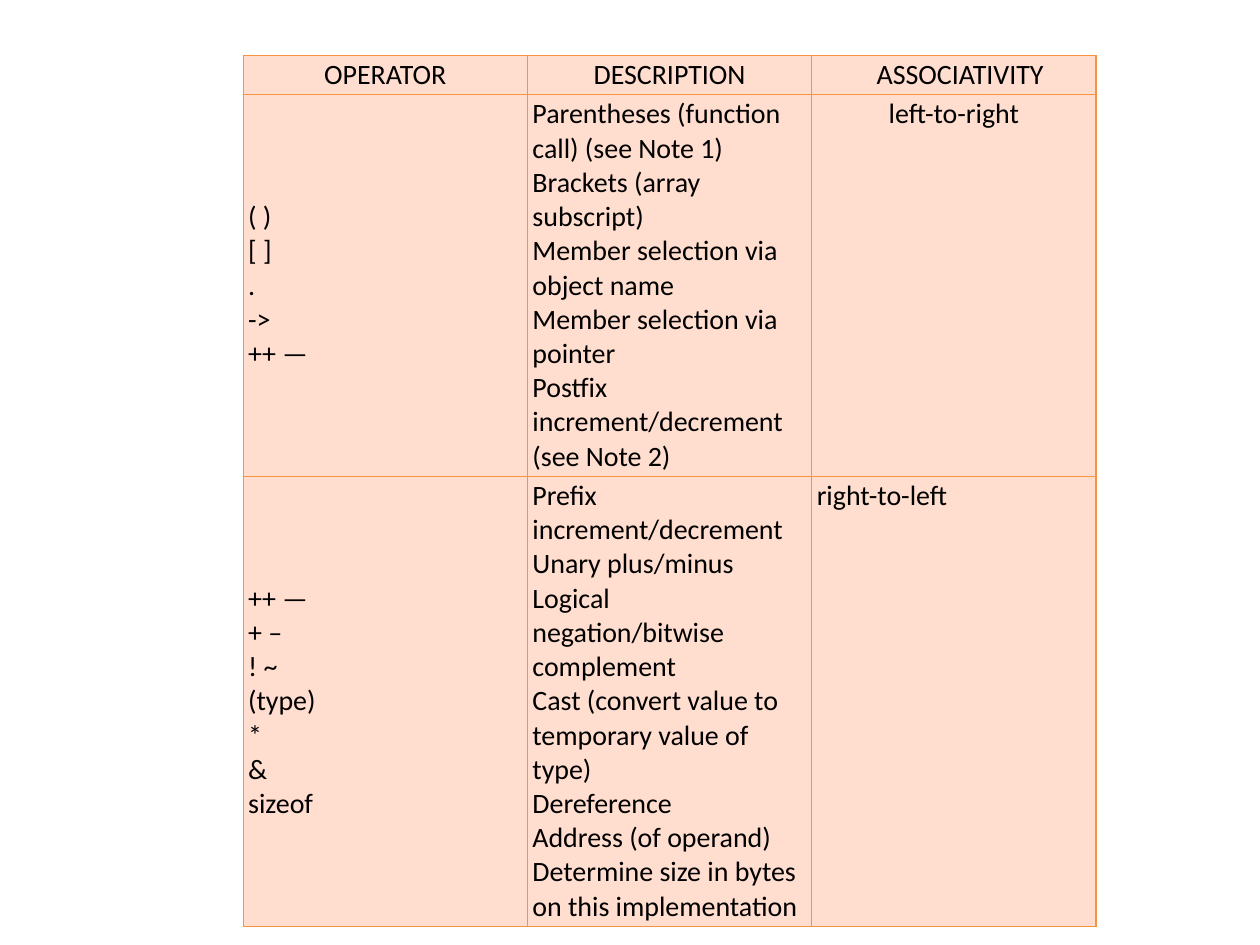
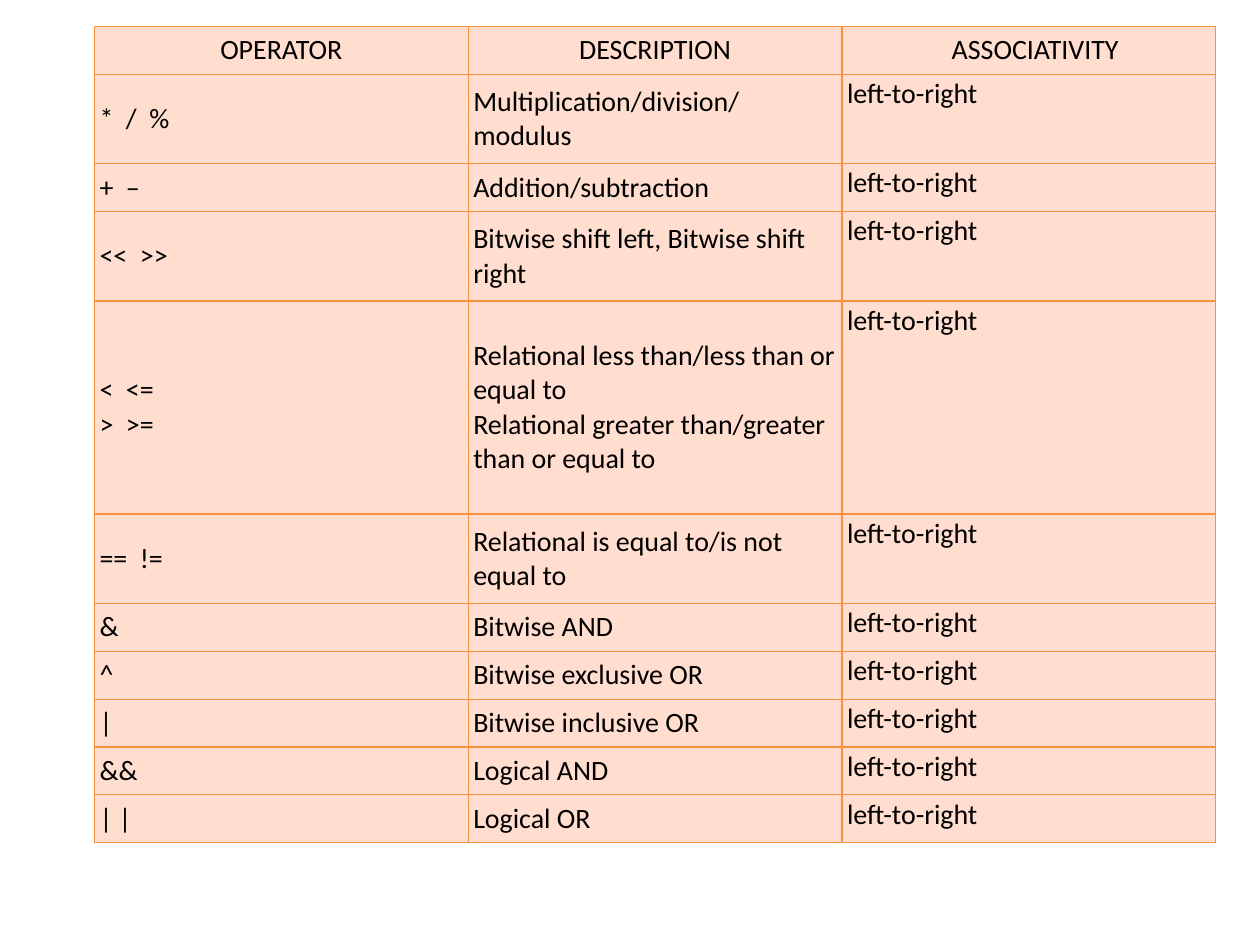
from pptx import Presentation
from pptx.util import Inches, Pt
from pptx.dml.color import RGBColor
from pptx.enum.text import PP_ALIGN as Align, MSO_ANCHOR as Anchor
from pptx.oxml.ns import qn
from lxml.etree import SubElement as Sub

FONT, SIZE = "Calibri", 16
INK, FILL, EDGE = "000000", "FFDDCF", "F69240"
LTR, RTL = "left-to-right", "right-to-left"
HEAD = ("OPERATOR", "DESCRIPTION", "  ASSOCIATIVITY")

UNARY = [
    ("( )\n[ ]\n.\n->\n++ —",
     "Parentheses (function call) (see Note 1)\n"
     "Brackets (array subscript)\n"
     "Member selection via object name\n"
     "Member selection via pointer\n"
     "Postfix increment/decrement (see Note 2)", LTR),
    ("++ —\n+ –\n! ~\n(type)\n*\n&\nsizeof",
     "Prefix increment/decrement\n"
     "Unary plus/minus\n"
     "Logical negation/bitwise complement\n"
     "Cast (convert value to temporary value of type)\n"
     "Dereference\n"
     "Address (of operand)\n"
     "Determine size in bytes on this implementation", RTL),
]
BINARY = [
    ("*  /  %", "Multiplication/division/modulus", LTR),
    ("+  –", "Addition/subtraction", LTR),
    ("<<  >>", "Bitwise shift left, Bitwise shift right", LTR),
    ("<  <=\n>  >=",
     "Relational less than/less than or equal to\n"
     "Relational greater than/greater  than or equal to", LTR),
    ("==  !=", "Relational is equal to/is not equal to", LTR),
    ("&", "Bitwise AND", LTR),
    ("^", "Bitwise exclusive OR", LTR),
    ("|", "Bitwise inclusive OR", LTR),
    ("&&", "Logical AND", LTR),
    ("| |", "Logical OR", LTR),
]
ONE, TWO, FOUR = 0.38, 0.71, 1.69
SLIDES = [
    dict(rows=UNARY, box=(1.93, 0.44, 6.77, 6.79),
         tall=[0.26, 1.79, 1.96], mid={(1, 2)}),
    dict(rows=BINARY, box=(0.75, 0.21, 8.9, 6.46),
         tall=[ONE, TWO, ONE, TWO, FOUR, TWO] + [ONE] * 5, mid=set()),
]


def color(code):
    return RGBColor.from_string(code)


def write(cell, text, align=None, anchor=Anchor.MIDDLE, side=0.04):
    cell.vertical_anchor = anchor
    cell.margin_left = cell.margin_right = Inches(side)
    cell.margin_top = cell.margin_bottom = Inches(0.02)
    para = cell.text_frame.paragraphs[0]
    para.text = text.replace("\n", "\v")
    para.alignment = align
    for run in para.runs:
        run.font.name, run.font.size = FONT, Pt(SIZE)
        run.font.color.rgb = color(INK)
    for gap in para._p.findall(qn("a:br")):
        Sub(gap, qn("a:rPr"), sz=str(SIZE * 100))


def paint(cell):
    props = cell._tc.get_or_add_tcPr()
    for side in ("lnL", "lnR", "lnT", "lnB"):
        line = Sub(props, qn("a:" + side), w=str(Pt(0.75)))
        Sub(Sub(line, qn("a:solidFill")), qn("a:srgbClr"), val=EDGE)
    cell.fill.solid()
    cell.fill.fore_color.rgb = color(FILL)


def build(slide, rows, box, tall, mid):
    lines = [HEAD] + rows
    frame = slide.shapes.add_table(len(lines), len(HEAD), *map(Inches, box))
    table = frame.table
    table.first_row = table.horz_banding = False
    for row, high in zip(table.rows, tall):
        row.height = Inches(high)
    frame.height = Inches(box[3])
    for r, line in enumerate(lines):
        for c, text in enumerate(line):
            cell = table.cell(r, c)
            top = r == 0
            write(cell, text,
                  align=Align.CENTER if top or (r, c) in mid else None,
                  anchor=Anchor.TOP if c == 2 and not top else Anchor.MIDDLE,
                  side=0.02 if top else 0.04)
            paint(cell)


def main():
    deck = Presentation()
    deck.slide_width, deck.slide_height = Inches(10), Inches(7.5)
    for part in SLIDES:
        build(deck.slides.add_slide(deck.slide_layouts[6]), **part)
    deck.save("out.pptx")


if __name__ == "__main__":
    main()
